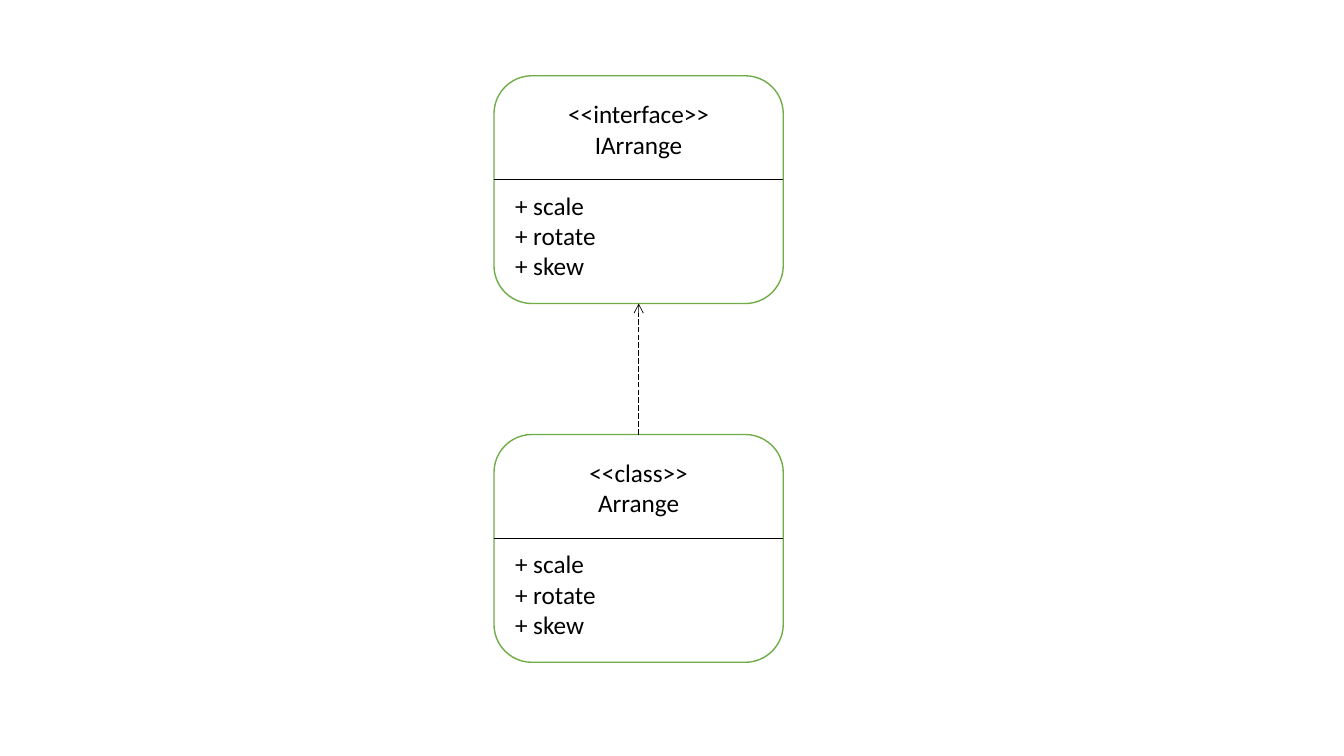
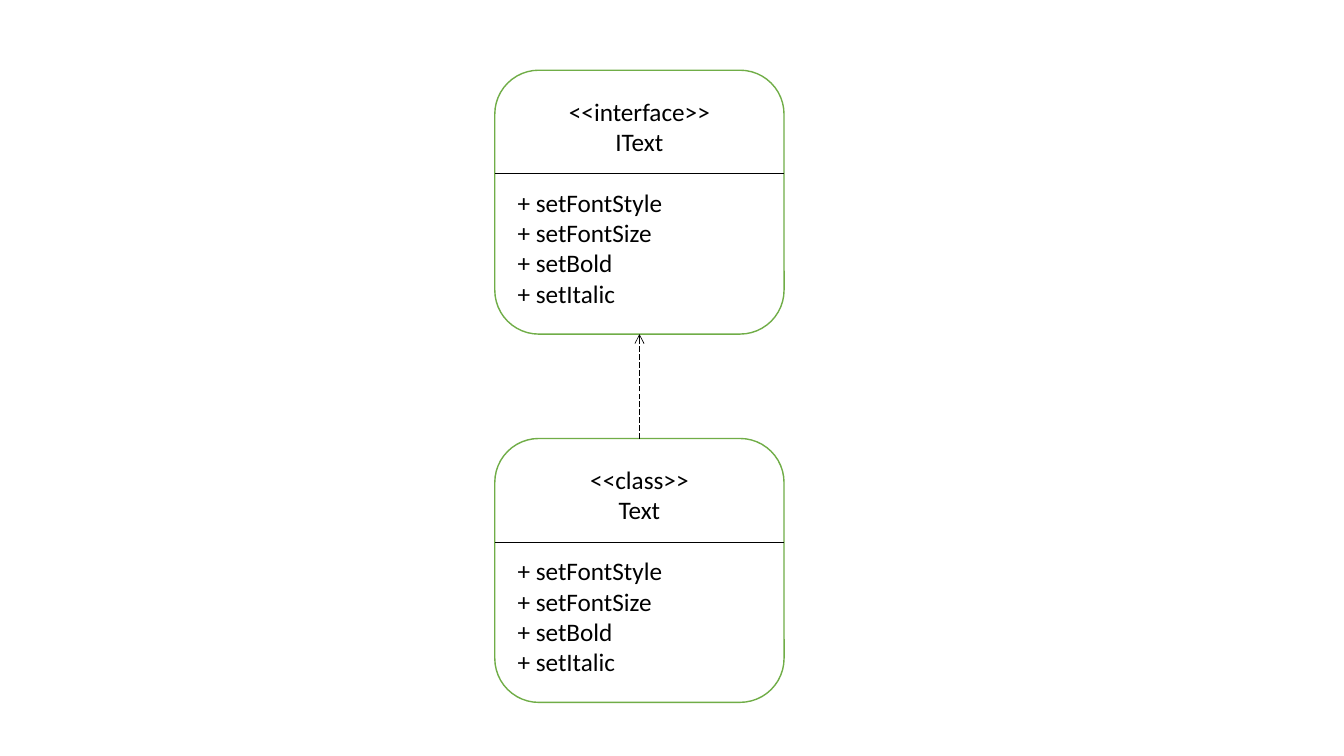
from lxml.etree import SubElement
from pptx import Presentation
from pptx.dml.color import RGBColor
from pptx.enum.dml import MSO_LINE
from pptx.enum.shapes import MSO_CONNECTOR, MSO_SHAPE
from pptx.enum.text import MSO_ANCHOR, PP_ALIGN
from pptx.oxml.ns import qn
from pptx.util import Cm, Pt

# Content: one diagram per slide, the interface above the class; lengths in cm
DIAGRAMS = [
    {
        "boxes": [("<<interface>>", "IArrange"), ("<<class>>", "Arrange")],
        "members": ["+ scale", "+ rotate", "+ skew"],
        "left": 12.45, "tops": (1.91, 10.95), "height": 5.74,
    },
    {
        "boxes": [("<<interface>>", "IText"), ("<<class>>", "Text")],
        "members": ["+ setFontStyle", "+ setFontSize", "+ setBold", "+ setItalic"],
        "left": 12.47, "tops": (1.77, 11.05), "height": 6.65,
    },
]

# Shared style
FONT, TEXT_SIZE, MEMBERS_GAP = "Calibri", 18, 22
BLACK, WHITE, GREEN = "000000", "FFFFFF", "70AD47"
BOX_WIDTH, DIVIDER_OFFSET = 7.29, 2.61


def color(hex_string):
    return RGBColor.from_string(hex_string)


def add_line(slide, start, end):
    line = slide.shapes.add_connector(
        MSO_CONNECTOR.STRAIGHT, *[Cm(value) for value in start + end])
    line.line.color.rgb = color(BLACK)
    line.line.width = Pt(0.5)
    SubElement(line._element.spPr, qn("a:effectLst"))
    return line


def add_arrow(slide, start, end):
    arrow = add_line(slide, start, end)
    arrow.line.dash_style = MSO_LINE.LONG_DASH
    SubElement(arrow.line._get_or_add_ln(), qn("a:tailEnd"), type="arrow")


def write_text(text_frame, headings, members):
    text_frame.word_wrap = True
    text_frame.vertical_anchor = MSO_ANCHOR.MIDDLE
    for index, text in enumerate([*headings, *members]):
        paragraph = text_frame.add_paragraph() if index else text_frame.paragraphs[0]
        is_heading = index < len(headings)
        paragraph.alignment = PP_ALIGN.CENTER if is_heading else PP_ALIGN.LEFT
        if index == len(headings):
            paragraph.space_before = Pt(MEMBERS_GAP)
        run = paragraph.add_run()
        run.text = text
        run.font.name = FONT
        run.font.size = Pt(TEXT_SIZE)
        run.font.color.rgb = color(BLACK)


def add_class_box(slide, left, top, height, headings, members):
    box = slide.shapes.add_shape(
        MSO_SHAPE.ROUNDED_RECTANGLE, Cm(left), Cm(top), Cm(BOX_WIDTH), Cm(height))
    box.shadow.inherit = False
    box.fill.solid()
    box.fill.fore_color.rgb = color(WHITE)
    box.line.color.rgb = color(GREEN)
    box.line.width = Pt(1)
    write_text(box.text_frame, headings, members)
    divider = top + DIVIDER_OFFSET
    add_line(slide, (left, divider), (left + BOX_WIDTH, divider))


# Build the slides
presentation = Presentation()
presentation.slide_width, presentation.slide_height = Cm(33.87), Cm(19.05)

for diagram in DIAGRAMS:
    slide = presentation.slides.add_slide(presentation.slide_layouts[6])
    left, height = diagram["left"], diagram["height"]
    for top, headings in zip(diagram["tops"], diagram["boxes"]):
        add_class_box(slide, left, top, height, headings, diagram["members"])

    # The class points up to the interface it implements
    interface_top, class_top = diagram["tops"]
    center = left + BOX_WIDTH / 2
    add_arrow(slide, (center, class_top), (center, interface_top + height))

presentation.save("out.pptx")
